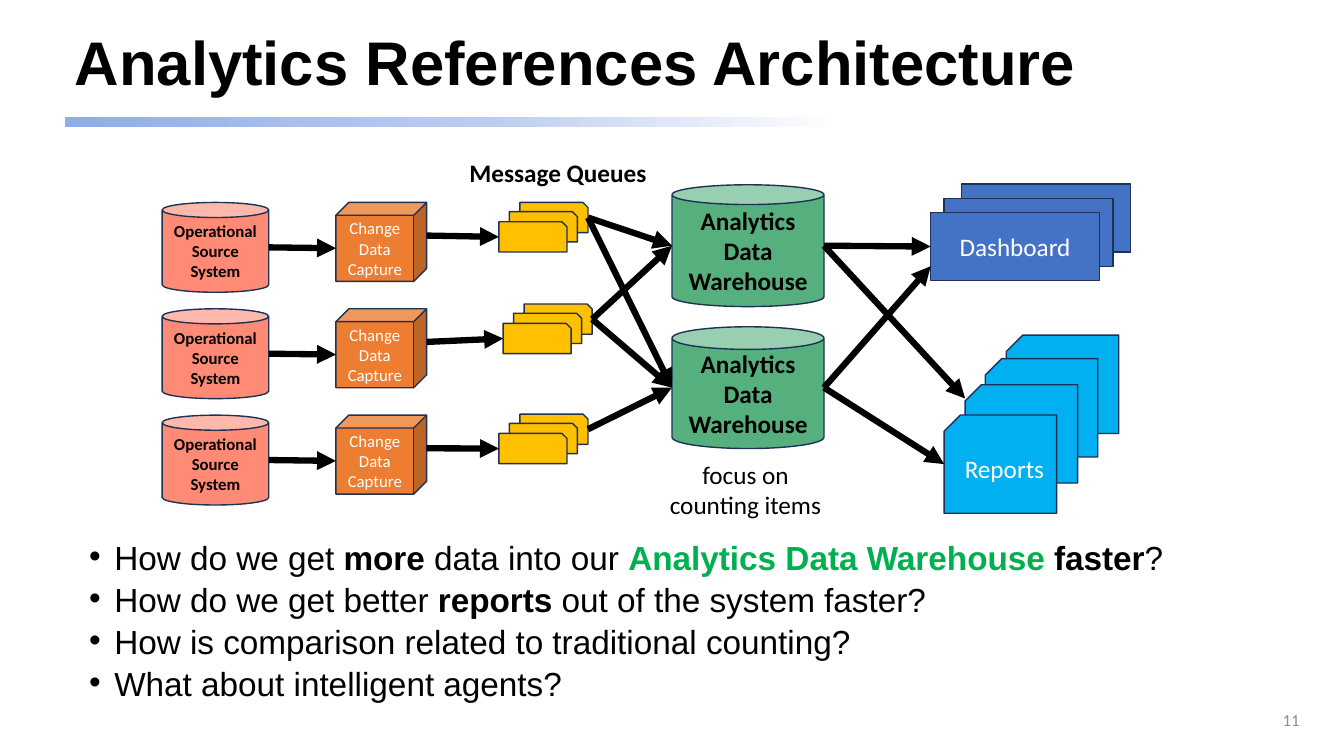
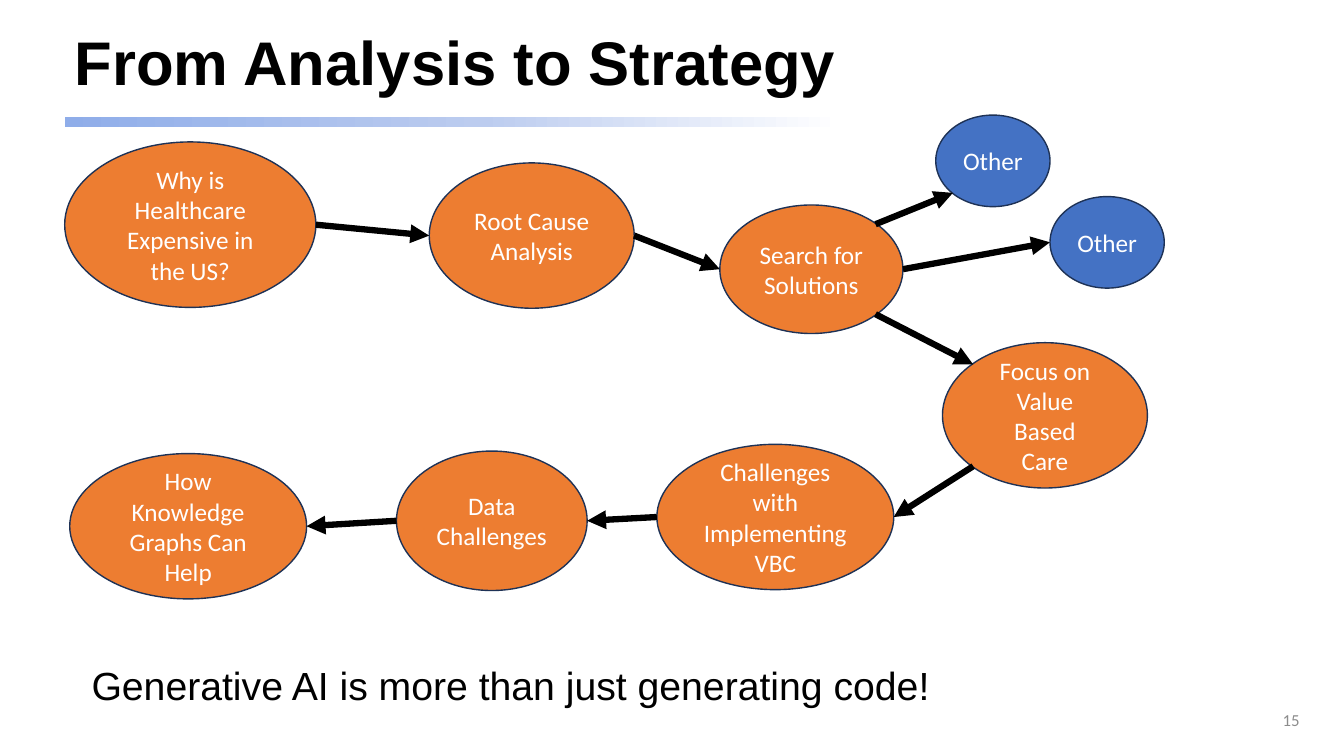
"""Build two slides on analytics: a data flow and a path to strategy."""
from copy import deepcopy
from dataclasses import dataclass
from typing import NamedTuple

from lxml.etree import SubElement as Sub
from pptx import Presentation
from pptx.dml.color import RGBColor as Rgb
from pptx.enum.shapes import MSO_CONNECTOR as Link, MSO_SHAPE as Kind
from pptx.enum.text import MSO_ANCHOR as Anchor, MSO_AUTO_SIZE as Auto, PP_ALIGN as Align
from pptx.oxml.ns import qn
from pptx.shapes.autoshape import Shape
from pptx.slide import Slide, SlideLayout
from pptx.text.text import TextFrame
from pptx.util import Emu, Inches, Pt

WIDE, HIGH = Inches(13.333), Inches(7.5)
COLS, ROWS = 160, 90


@dataclass(frozen=True)
class Theme:
    """Hold the colours, fonts and type sizes of the deck."""
    ink: str = "000000"
    white: str = "FFFFFF"
    edge: str = "1E3256"
    gray: str = "8C8C8C"
    blue: str = "4472C4"
    sky: str = "00B0F0"
    orange: str = "ED7D31"
    gold: str = "FFC000"
    coral: str = "FF8B76"
    green: str = "56B07E"
    accent: str = "00B050"
    fade: tuple = ((0, "8FADE9"), (0.36, "BCCCEF"), (0.67, "FFFFFF"))
    head: str = "Arial"
    label: str = "Calibri"
    title: float = 44
    claim: float = 28
    list: float = 23.8
    body: float = 18
    small: float = 12


T = Theme()


class Box(NamedTuple):
    """Place a box in columns and rows of the grid."""
    x: float
    y: float
    w: float
    h: float

    def move(self, dx: float, dy: float) -> "Box":
        """Return the box shifted by columns and rows."""
        return self._replace(x=self.x + dx, y=self.y + dy)

    def place(self) -> tuple[Emu, Emu, Emu, Emu]:
        """Return left, top, width and height as lengths."""
        return col(self.x), row(self.y), col(self.w), row(self.h)


class Run(NamedTuple):
    """Hold a piece of text with its weight and colour."""
    text: str
    bold: bool = False
    color: str = T.ink


class Look(NamedTuple):
    """Describe how a kind of shape is drawn."""
    kind: Kind
    fill: str
    size: float = T.body
    color: str = T.white
    bold: bool = False
    adj: float | None = None
    flip: bool = False


class End(NamedTuple):
    """Name a point on a shape by shares of its width and height."""
    shape: Shape
    fx: float
    fy: float = 0.5


class Node(NamedTuple):
    """Describe one ellipse of the path."""
    key: str
    text: str
    box: Box
    fill: str = T.orange


STORE = Look(Kind.CAN, T.green, color=T.ink, bold=True, adj=0.162)
SOURCE = Look(Kind.CAN, T.coral, T.small, T.ink, True, 0.168)
CUBE = Look(Kind.CUBE, T.orange, T.small, adj=0.163)
CARD = Look(Kind.SNIP_1_RECTANGLE, T.gold)
PANEL = Look(Kind.RECTANGLE, T.blue)
REPORT = Look(Kind.SNIP_1_RECTANGLE, T.sky, flip=True)

TOP, PITCH = 24.1, 12.66
QUEUES = ((59.4, 26.4), (59.9, 38.5), (59.4, 51.6))
PILE = ((2.5, -2.3), (1.25, -1.2), (0, 0))
PANELS = ((3.7, -3.4), (1.6, -1.7), (0, 0))
PAGES = ((7.4, -9.5), (4.9, -6.7), (2.5, -3.6), (0, 0))

POINTS = [
    [Run("How do we get "), Run("more", True), Run(" data into our "),
     Run("Analytics Data Warehouse ", True, T.accent), Run("faster", True), Run("?")],
    [Run("How do we get better "), Run("reports", True), Run(" out of the system faster?")],
    [Run("How is comparison related to traditional counting?")],
    [Run("What about intelligent agents?")],
]

NODES = (
    Node("why", "Why is Healthcare Expensive in the US?", Box(7.7, 16.9, 29.9, 19.7)),
    Node("root", "Root Cause\nAnalysis", Box(51.1, 19.4, 24.4, 17.3)),
    Node("search", "Search for\nSolutions", Box(85.7, 24.4, 21.8, 15.3)),
    Node("focus", "Focus on\nValue\nBased\nCare", Box(112.2, 40.8, 24.4, 17.3)),
    Node("hurdle", "Challenges with Implementing VBC", Box(78.2, 52.9, 28.2, 17.3)),
    Node("data", "Data\nChallenges", Box(47.2, 53.7, 22.7, 16.6)),
    Node("graph", "How Knowledge\nGraphs Can Help", Box(8.3, 54, 28.2, 17.3)),
    Node("side", "Other", Box(125, 23.4, 13.6, 10.9), T.blue),
    Node("upper", "Other", Box(111.4, 13.7, 13.6, 10.9), T.blue),
)

NEAR, FAR = 0.15, 0.85
LEFT, RIGHT = (0, 0.5), (1, 0.5)
PATHS = (
    ("why", RIGHT, "root", LEFT),
    ("root", RIGHT, "search", LEFT),
    ("search", (FAR, FAR), "focus", (NEAR, NEAR)),
    ("focus", (NEAR, FAR), "hurdle", RIGHT),
    ("hurdle", LEFT, "data", RIGHT),
    ("data", LEFT, "graph", RIGHT),
    ("search", RIGHT, "side", LEFT),
    ("search", (FAR, NEAR), "upper", (NEAR, FAR)),
)


def col(n: float) -> Emu:
    """Return the length of n grid columns."""
    return Emu(round(n * WIDE / COLS))


def row(n: float) -> Emu:
    """Return the length of n grid rows."""
    return Emu(round(n * HIGH / ROWS))


def write(frame: TextFrame, text: str | list[list[Run]], *, size: float = T.body,
          font: str = T.label, color: str = T.ink, bold: bool = False,
          align: Align = Align.LEFT, anchor: Anchor = Anchor.TOP, wrap: bool = True,
          lead: float = 1, gap: float = 0, bullet: bool = False) -> None:
    """Fill a frame with formatted paragraphs."""
    frame.auto_size, frame.word_wrap, frame.vertical_anchor = Auto.NONE, wrap, anchor
    if isinstance(text, str):
        text = [[Run(line, bold, color)] for line in text.split("\n")]
    for i, runs in enumerate(text):
        para = frame.add_paragraph() if i else frame.paragraphs[0]
        para.alignment, para.line_spacing = align, lead
        para.space_before = Pt(gap if i else 0)
        props = para._p.get_or_add_pPr()
        hang = Inches(0.25) if bullet else 0
        props.set("marL", str(hang))
        props.set("indent", str(-hang))
        if bullet:
            Sub(props, qn("a:buFont")).set("typeface", "Arial")
            Sub(props, qn("a:buChar")).set("char", "•")
        else:
            Sub(props, qn("a:buNone"))
        for piece in runs:
            run = para.add_run()
            run.text = piece.text
            run.font.size, run.font.name, run.font.bold = Pt(size), font, piece.bold
            run.font.color.rgb = Rgb.from_string(piece.color)


def label(slide: Slide, box: Box, text: str, **form) -> None:
    """Add a text box."""
    write(slide.shapes.add_textbox(*box.place()).text_frame, text, **form)


def draw(slide: Slide, box: Box, look: Look, text: str = "") -> Shape:
    """Add a filled and outlined shape with centred text."""
    shape = slide.shapes.add_shape(look.kind, *box.place())
    shape.shadow.inherit = False
    shape.fill.solid()
    shape.fill.fore_color.rgb = Rgb.from_string(look.fill)
    shape.line.color.rgb = Rgb.from_string(T.edge)
    shape.line.width = Pt(1)
    if look.adj is not None:
        shape.adjustments[0] = look.adj
    if look.flip:
        shape.element.spPr.get_or_add_xfrm().set("flipH", "1")
    if text:
        write(shape.text_frame, text, size=look.size, color=look.color, bold=look.bold,
              align=Align.CENTER, anchor=Anchor.MIDDLE)
    return shape


def stack(slide: Slide, front: Box, shifts: tuple, look: Look, text: str = "") -> list[Shape]:
    """Draw overlapping copies of a shape from back to front."""
    return [draw(slide, front.move(*shift), look, "" if any(shift) else text)
            for shift in shifts]


def spot(end: End) -> tuple[Emu, Emu]:
    """Return the position of an end point."""
    shape = end.shape
    return (Emu(round(shape.left + shape.width * end.fx)),
            Emu(round(shape.top + shape.height * end.fy)))


def arrow(slide: Slide, start: End, stop: End) -> None:
    """Draw a thick arrow, joined where it meets a rectangle's side."""
    link = slide.shapes.add_connector(Link.STRAIGHT, *spot(start), *spot(stop))
    if stop.shape.auto_shape_type == Kind.RECTANGLE and stop[1:] == LEFT:
        link.end_connect(stop.shape, 1)
    link.line.color.rgb = Rgb.from_string(T.ink)
    link.line.width = Pt(4.5)
    Sub(link.get_or_add_ln(), qn("a:tailEnd")).set("type", "triangle")
    Sub(link.element.spPr, qn("a:effectLst"))


def brand(slide: Slide, layout: SlideLayout) -> None:
    """Give the layout its title place and its fading band."""
    title = layout.placeholders[0]
    title.left, title.top, title.width, title.height = Box(7.7, 2.2, 138, 11.3).place()
    band = slide.shapes.add_shape(Kind.RECTANGLE, *Box(7.7, 13.9, 138, 1.2).place())
    band.shadow.inherit = False
    band.line.fill.background()
    band.fill.gradient()
    band.fill.gradient_angle = 0
    stops = band.element.spPr.find(qn("a:gradFill")).find(qn("a:gsLst"))
    stops.append(deepcopy(stops[0]))
    for stop, (share, color) in zip(band.fill.gradient_stops, T.fade):
        stop.position = share
        stop.color.rgb = Rgb.from_string(color)
    band.element.nvSpPr.cNvPr.set("id", "99")
    layout.shapes.element.append(band.element)


def start(slide: Slide, title: str, page: str, box: Box, text: str | list, **form) -> None:
    """Fill the title, the body and the page number."""
    write(slide.shapes.title.text_frame, title, size=T.title, font=T.head, bold=True,
          anchor=Anchor.MIDDLE, lead=0.9)
    body = slide.placeholders[1]
    body.left, body.top, body.width, body.height = box.place()
    write(body.text_frame, text, font=T.head, **form)
    label(slide, Box(119.9, 83.3, 36, 4.8), page, size=T.small, color=T.gray,
          align=Align.RIGHT, anchor=Anchor.MIDDLE)


def flow(slide: Slide) -> None:
    """Draw the data flow from sources to reports."""
    start(slide, "Analytics References Architecture", "11", Box(9.4, 64.6, 138, 20.4),
          POINTS, size=T.list, lead=0.7, gap=10, bullet=True)
    name = "Analytics\nData Warehouse"
    house = Box(80, 22, 18.1, 14.5)
    upper = draw(slide, house, STORE, name)
    lower = draw(slide, house.move(0, 16.9), STORE._replace(adj=0.186), name)
    label(slide, Box(54.7, 18.2, 23.6, 4.8), "Message Queues", bold=True, wrap=False)
    label(slide, Box(77, 54.1, 23.5, 8.5), "focus on counting items", align=Align.CENTER)
    dash = stack(slide, Box(110.8, 25.3, 20.1, 8.1), PANELS, PANEL, "Dashboard")[-1]
    pages = stack(slide, Box(112.4, 49.4, 13.4, 11.7), PAGES, REPORT, "Reports")
    goals = ((upper, lower), (upper, lower), (lower,))
    for i, (spots, aims) in enumerate(zip(QUEUES, goals)):
        y = TOP + i * PITCH
        source = draw(slide, Box(19.3, y, 12.7, 10.7), SOURCE, "Operational\nSource\nSystem")
        cube = draw(slide, Box(40, y, 10.8, 9.4), CUBE, "Change\nData\nCapture")
        cards = stack(slide, Box(*spots, 8.1, 3.6), PILE, CARD)
        arrow(slide, End(source, 1), End(cube, 0, 0.58))
        arrow(slide, End(cube, 1, 0.42), End(cards[-1], 0))
        for aim in aims:
            arrow(slide, End(cards[0], 1), End(aim, 0))
    for house, stop in ((upper, End(dash, 0)), (upper, End(pages[-2], 0, 0.14)),
                        (lower, End(dash, 0, 0.79)), (lower, End(pages[-1], 0))):
        arrow(slide, End(house, 1), stop)


def plan(slide: Slide) -> None:
    """Draw the path from question to answer."""
    start(slide, "From Analysis to Strategy", "15", Box(9.7, 78.8, 138, 7.7),
          "Generative AI is more than just generating code!", size=T.claim, lead=0.9)
    nodes = {node.key: draw(slide, node.box, Look(Kind.OVAL, node.fill), node.text)
             for node in NODES}
    for tail, exit_at, head, enter in PATHS:
        arrow(slide, End(nodes[tail], *exit_at), End(nodes[head], *enter))


def main() -> None:
    """Build the deck and save it."""
    deck = Presentation()
    deck.slide_width, deck.slide_height = WIDE, HIGH
    layout = deck.slide_layouts[1]
    first, second = (deck.slides.add_slide(layout) for _ in range(2))
    brand(first, layout)
    flow(first)
    plan(second)
    deck.save("out.pptx")


if __name__ == "__main__":
    main()
